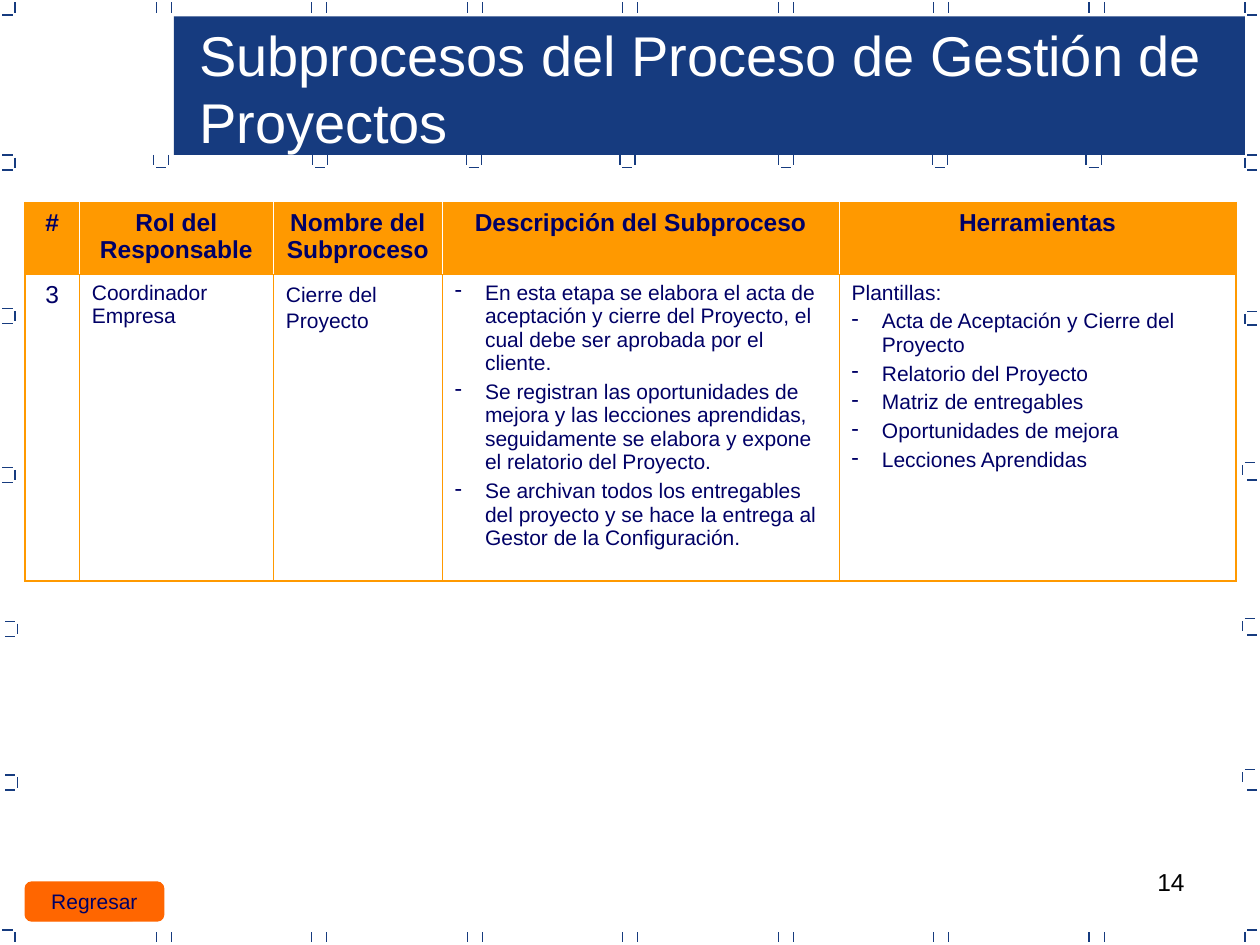
from dataclasses import dataclass

from lxml import etree
from pptx import Presentation
from pptx.dml.color import RGBColor
from pptx.enum.shapes import MSO_CONNECTOR, MSO_SHAPE
from pptx.enum.text import MSO_ANCHOR, MSO_AUTO_SIZE, PP_ALIGN
from pptx.oxml.ns import qn
from pptx.util import Inches, Pt

STRAIGHT = MSO_CONNECTOR.STRAIGHT
RECT = MSO_SHAPE.RECTANGLE
BUTTON = MSO_SHAPE.FLOWCHART_ALTERNATE_PROCESS
LEFT, CENTER, RIGHT = PP_ALIGN.LEFT, PP_ALIGN.CENTER, PP_ALIGN.RIGHT
TOP, MIDDLE = MSO_ANCHOR.TOP, MSO_ANCHOR.MIDDLE
NO_FIT = MSO_AUTO_SIZE.NONE


@dataclass(frozen=True)
class Theme:
    font: str = "Arial"
    navy: str = "163B7F"
    ink: str = "000066"
    orange: str = "FF9900"
    button: str = "FF6600"
    white: str = "FFFFFF"
    black: str = "000000"
    title: int = 32
    head: int = 14
    body: int = 12
    hair: float = 0.45
    thin: float = 0.75
    thick: float = 1.08


T = Theme()
HEADERS = ["#", "Rol del Responsable", "Nombre del Subproceso",
           "Descripción del Subproceso", "Herramientas"]
COLUMNS = [0.43, 1.54, 1.34, 3.15, 3.15]
ROWS = [0.57, 2.43]
DESCRIPTION = [
    "En esta etapa se elabora el acta de aceptación y cierre del Proyecto, "
    "el cual debe ser aprobada por el cliente.",
    "Se registran las oportunidades de mejora y las lecciones aprendidas, "
    "seguidamente se elabora y expone el relatorio del Proyecto.",
    "Se archivan todos los entregables del proyecto y se hace la entrega al "
    "Gestor de la Configuración.",
]
TEMPLATES = ["Acta de Aceptación y Cierre del Proyecto", "Relatorio del Proyecto",
             "Matriz de entregables", "Oportunidades de mejora",
             "Lecciones Aprendidas"]


def rgb(value):
    return RGBColor.from_string(value)


def add_run(p, text, size, color, bold=False):
    r = p.add_run()
    r.text = text
    r.font.name, r.font.size, r.font.bold = T.font, Pt(size), bold
    r.font.color.rgb = rgb(color)


def line(s, x1, y1, x2, y2):
    c = s.shapes.add_connector(STRAIGHT, *map(Inches, (x1, y1, x2, y2)))
    c.line.color.rgb = rgb(T.navy)
    c.line.width = Pt(T.thin)
    etree.SubElement(c._element.spPr, qn("a:effectLst"))


def filled_shape(s, kind, box, color):
    sp = s.shapes.add_shape(kind, *map(Inches, box))
    sp.shadow.inherit = False
    sp.fill.solid()
    sp.fill.fore_color.rgb = rgb(color)
    return sp


# Dashed frame: pairs of ticks above and below, small brackets at the sides
def add_frame(s, box):
    x0, y0, w, h = box
    x1, y1 = x0 + w, y0 + h
    tick, gap, half = 0.08, 0.02, 0.06

    for y in (y0, y1 - tick):
        for i in range(7):
            center = x0 + 1.28 + 1.234 * i
            for x in (center - half, center + half):
                line(s, x, y, x, y + tick)
        for x in (x0 + 0.1, x1 - 0.1):
            line(s, x, y, x, y + tick)
    for y in (y0 + 0.1, y1 - 0.1):
        line(s, x0, y, x0 + tick, y)
        line(s, x1 - tick, y, x1, y)

    # Left brackets: inset and centre
    for dx, dy in ((0, 1.27), (0, 2.49), (0, 3.75), (gap, 4.97), (gap, 6.19)):
        x, y = x0 + dx, y0 + dy
        line(s, x + 0.1, y - 0.04, x + 0.1, y + 0.04)
        for edge in (y - half, y + half):
            line(s, x, edge, x + tick, edge)

    # Right brackets: inset, upper and lower edge
    for dx, upper, lower in ((0, 1.21, 1.33), (0, 2.45, 2.56), (gap, 3.65, 3.79),
                             (gap, 4.89, 5.02), (gap, 6.09, 6.25)):
        x, y = x1 - 0.1 - dx, y0 + upper
        line(s, x, y + gap, x, y + gap + tick)
        line(s, x + gap, y, x + gap + tick, y)
        line(s, x1 - tick, y0 + lower, x1, y0 + lower)


# Title band with a row of cups hanging from its lower edge
def add_title(s, box, text):
    x, y, w, h = box
    filled_shape(s, RECT, box, T.navy).line.fill.background()
    bottom = y + h
    for center in (1.28, 2.54, 3.76, 4.98, 6.24, 7.46, 8.68):
        for side in (center - 0.06, center + 0.06):
            line(s, side, bottom, side, bottom + 0.08)
        line(s, center - 0.04, bottom + 0.1, center + 0.04, bottom + 0.1)

    title = s.shapes.title
    title.left, title.top = Inches(x + 0.1), Inches(y - 0.02)
    title.width, title.height = Inches(w - 0.18), Inches(h + 0.07)
    tf = title.text_frame
    tf.word_wrap, tf.auto_size, tf.vertical_anchor = True, NO_FIT, TOP
    p = tf.paragraphs[0]
    p.alignment = LEFT
    add_run(p, text, T.title, T.white)
    # Bring the title in front of the band
    title._element.getparent().append(title._element)


def set_borders(cell, **sides):
    tcPr = cell._tc.get_or_add_tcPr()
    for side in "LRTB":
        color, width = sides[side]
        ln = etree.SubElement(tcPr, qn("a:ln" + side), w=str(Pt(width)))
        fill = etree.SubElement(ln, qn("a:solidFill"))
        etree.SubElement(fill, qn("a:srgbClr"), val=color)


def write_cell(cell, items, size, align=LEFT, bold=False, spacing=None):
    """Write (text, bulleted) items as paragraphs."""
    tf = cell.text_frame
    for i, (text, bulleted) in enumerate(items):
        p = tf.add_paragraph() if i else tf.paragraphs[0]
        p.alignment = align
        if spacing:
            p.line_spacing = spacing
        if i:
            p.space_before = Pt(3)
        if bulleted:
            pPr = p._p.get_or_add_pPr()
            indent = Inches(0.24)
            pPr.set("marL", str(indent))
            pPr.set("indent", str(-indent))
            etree.SubElement(pPr, qn("a:buChar"), char="-")
        add_run(p, text, size, T.ink, bold)


def add_process_table(s, box):
    table = s.shapes.add_table(len(ROWS), len(COLUMNS), *map(Inches, box)).table
    table.first_row = table.horz_banding = False
    for column, width in zip(table.columns, COLUMNS):
        column.width = Inches(width)
    for row, height in zip(table.rows, ROWS):
        row.height = Inches(height)

    # Borders and fills
    outer, inner = (T.orange, T.thick), (T.orange, T.thin)
    last = len(COLUMNS) - 1
    for i in range(len(ROWS)):
        divider = inner if i else (T.white, T.hair)
        for j in range(len(COLUMNS)):
            cell = table.cell(i, j)
            set_borders(cell, L=divider if j else outer,
                        R=divider if j < last else outer,
                        T=inner if i else outer, B=outer if i else inner)
            if i:
                cell.fill.background()
            else:
                cell.fill.solid()
                cell.fill.fore_color.rgb = rgb(T.orange)

    # Contents
    for j, text in enumerate(HEADERS):
        write_cell(table.cell(0, j), [(text, False)], T.head, CENTER, True)
    write_cell(table.cell(1, 0), [("3", False)], T.head, CENTER)
    write_cell(table.cell(1, 1), [("Coordinador Empresa", False)], T.body)
    write_cell(table.cell(1, 2), [("Cierre del Proyecto", False)], T.body, spacing=1.1)
    write_cell(table.cell(1, 3), [(text, True) for text in DESCRIPTION], T.body)
    write_cell(table.cell(1, 4), [("Plantillas:", False)]
               + [(text, True) for text in TEMPLATES], T.body)


def add_button(s, box, text):
    sp = filled_shape(s, BUTTON, box, T.button)
    sp.line.color.rgb = rgb(T.button)
    sp.line.width = Pt(T.thin)
    tf = sp.text_frame
    tf.word_wrap, tf.vertical_anchor = False, MIDDLE
    p = tf.paragraphs[0]
    p.alignment = CENTER
    add_run(p, text, T.body, T.ink)


def add_page_number(s, box, number):
    tf = s.shapes.add_textbox(*map(Inches, box)).text_frame
    tf.word_wrap = True
    p = tf.paragraphs[0]
    p.alignment = RIGHT
    add_run(p, number, T.head, T.black)


def main():
    prs = Presentation()
    prs.slide_width, prs.slide_height = Inches(10), Inches(7.5)
    s = prs.slides.add_slide(prs.slide_layouts[5])
    add_page_number(s, (7.17, 6.83, 2.33, 0.52), "14")
    add_frame(s, (0.02, 0.02, 9.96, 7.46))
    add_title(s, (1.38, 0.13, 8.5, 1.1),
              "Subprocesos del Proceso de Gestión de Proyectos")
    add_process_table(s, (0.2, 1.61, sum(COLUMNS), sum(ROWS)))
    add_button(s, (0.2, 7, 1.1, 0.31), "Regresar")
    prs.save("out.pptx")


if __name__ == "__main__":
    main()
